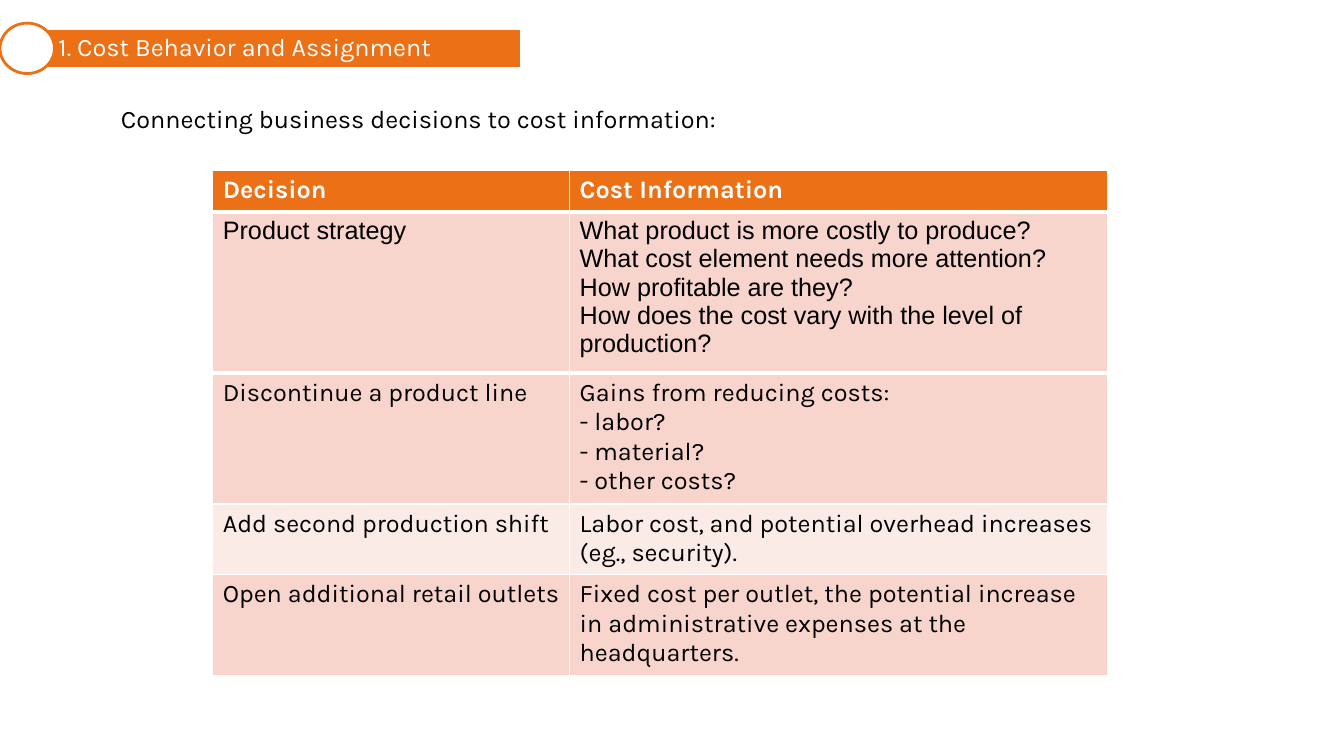
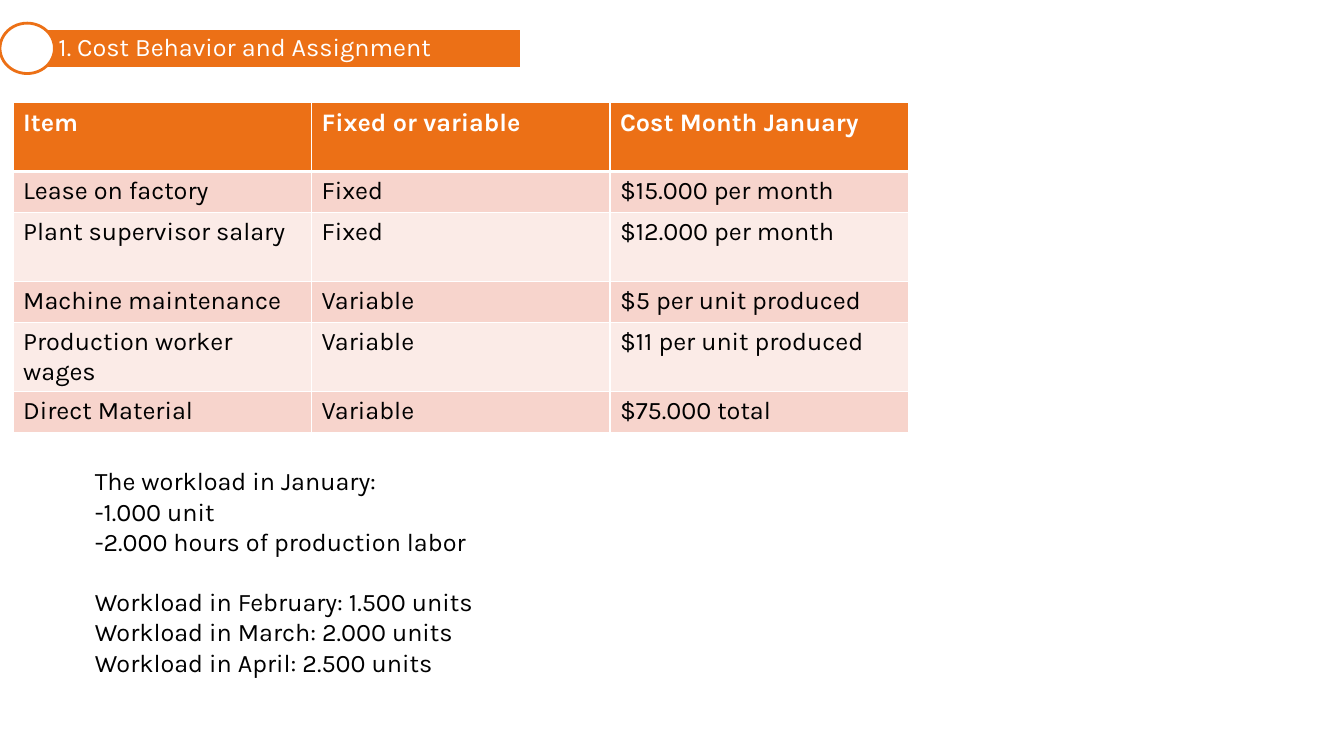
from pptx import Presentation
from pptx import util as u
from pptx.dml.color import RGBColor
from pptx.enum import shapes, text
from pptx.oxml import parse_xml
from pptx.oxml.ns import nsdecls

COLORS = {"accent": "EC7016", "dark_row": "F7D4CC", "light_row": "FBEBE7",
          "white": "FFFFFF", "black": "000000"}
COLORS = {name: RGBColor.from_string(value) for name, value in COLORS.items()}
FONT, SIZE = "Karla", u.Pt(18)
THIN, HEAVY = u.Pt(0.96), u.Pt(3)
TITLE = "1. Cost Behavior and Assignment"

# Content: boxes are left, top, width, height in inches
SLIDES = [
    {
        "body": ["Connecting business decisions to cost information:"],
        "body_box": (1.1, 0.97, 9.16, 0.4),
        "gap_before": None,
        "table_at": (2.11, 1.69),
        "columns": [3.54, 5.34],
        "row_heights": [0.41, 1.6, 1.3, 0.7, 1.0],
        "fills": ["accent", "dark_row", "dark_row", "light_row", "dark_row"],
        "heavy_below": [0, 1],
        "row_fonts": {1: "Arial"},
        "rows": [
            ["Decision", "Cost Information"],
            ["Product strategy",
             "What product is more costly to produce?\n"
             "What cost element needs more attention?\n"
             "How profitable are they?\n"
             "How does the cost vary with the level of production?"],
            ["Discontinue a product line",
             "Gains from reducing costs:\n- labor?\n- material?\n- other costs?"],
            ["Add second production shift",
             "Labor cost, and potential overhead increases (eg., security)."],
            ["Open additional retail outlets",
             "Fixed cost per outlet, the potential increase in administrative "
             "expenses at the headquarters."],
        ],
    },
    {
        "body": ["The workload in January:", "-1.000 unit",
                 "-2.000 hours of production labor",
                 "Workload in February: 1.500 units",
                 "Workload in March: 2.000 units",
                 "Workload in April: 2.500 units"],
        "body_box": (0.84, 4.57, 8.18, 2.2),
        "gap_before": 3,
        "table_at": (0.13, 1.02),
        "columns": [2.96] * 3,
        "row_heights": [0.68, 0.41] * 3,
        "fills": ["accent"] + ["dark_row", "light_row"] * 2 + ["dark_row"],
        "heavy_below": [0],
        "row_fonts": {},
        "rows": [
            ["Item", "Fixed or variable", "Cost Month January"],
            ["Lease on factory", "Fixed", "$15.000 per month"],
            ["Plant supervisor salary", "Fixed", "$12.000 per month"],
            ["Machine maintenance", "Variable", "$5 per unit produced"],
            ["Production worker wages", "Variable", "$11 per unit produced"],
            ["Direct Material", "Variable", "$75.000 total"],
        ],
    },
]


def place(shape, box):
    shape.left, shape.top, shape.width, shape.height = map(u.Inches, box)


def style_text(frame, color, font=FONT, bold=False):
    for paragraph in frame.paragraphs:
        paragraph.font.name, paragraph.font.size = font, SIZE
        paragraph.font.bold = bold
        paragraph.font.color.rgb = COLORS[color]


presentation = Presentation()
presentation.slide_width, presentation.slide_height = u.Inches(13.33), u.Inches(7.5)
layout = presentation.slide_layouts.get_by_name("Title and Content")

for content in SLIDES:
    slide = presentation.slides.add_slide(layout)

    # Title band
    title = slide.shapes.title
    place(title, (0.27, 0.28, 4.9, 0.4))
    title.fill.solid()
    title.fill.fore_color.rgb = COLORS["accent"]
    title.line.color.rgb, title.line.width = COLORS["white"], u.Pt(2)
    frame = title.text_frame
    frame.text = TITLE
    frame.margin_left = u.Inches(0.31)
    frame.margin_right = u.Inches(0.05)
    frame.vertical_anchor = text.MSO_ANCHOR.MIDDLE
    frame.auto_size = text.MSO_AUTO_SIZE.NONE
    paragraph = frame.paragraphs[0]
    paragraph.alignment = text.PP_ALIGN.LEFT
    paragraph.line_spacing, paragraph.space_after = 0.9, u.Pt(6.3)
    style_text(frame, "white")

    # Circle at the start of the band
    circle = slide.shapes.add_shape(shapes.MSO_SHAPE.OVAL, 0, 0, 0, 0)
    place(circle, (0, 0.23, 0.54, 0.5))
    circle.shadow.inherit = False
    circle.fill.solid()
    circle.fill.fore_color.rgb = COLORS["white"]
    circle.line.color.rgb, circle.line.width = COLORS["accent"], u.Pt(2)

    # Body text without bullets
    body = slide.placeholders[1]
    place(body, content["body_box"])
    frame = body.text_frame
    frame.text = "\n".join(content["body"])
    frame.word_wrap = True
    frame.auto_size = text.MSO_AUTO_SIZE.NONE
    for index, paragraph in enumerate(frame.paragraphs):
        paragraph.space_before = u.Pt(21.5 if index == content["gap_before"] else 0)
        properties = paragraph._p.get_or_add_pPr()
        properties.set("marL", "0")
        properties.set("indent", "0")
        properties.append(parse_xml(f"<a:buNone {nsdecls('a')}/>"))
    style_text(frame, "black")

    # Table
    columns, heights = content["columns"], content["row_heights"]
    table = slide.shapes.add_table(
        len(heights), len(columns), *map(u.Inches, content["table_at"]),
        u.Inches(sum(columns)), u.Inches(sum(heights))).table
    for column, width in zip(table.columns, columns):
        column.width = u.Inches(width)
    for row_index, values in enumerate(content["rows"]):
        row = table.rows[row_index]
        row.height = u.Inches(heights[row_index])
        header = row_index == 0
        top = HEAVY if row_index - 1 in content["heavy_below"] else THIN
        bottom = HEAVY if row_index in content["heavy_below"] else THIN
        for cell, value in zip(row.cells, values):
            cell.text = value
            style_text(cell.text_frame, "white" if header else "black",
                       content["row_fonts"].get(row_index, FONT), header)
            # Borders come before the fill in the cell's properties
            for side, width in zip("LRTB", (THIN, THIN, top, bottom)):
                cell._tc.get_or_add_tcPr().append(parse_xml(
                    f'<a:ln{side} {nsdecls("a")} w="{int(width)}"><a:solidFill>'
                    f'<a:srgbClr val="{COLORS["white"]}"/></a:solidFill></a:ln{side}>'))
            cell.fill.solid()
            cell.fill.fore_color.rgb = COLORS[content["fills"][row_index]]

presentation.save("out.pptx")
